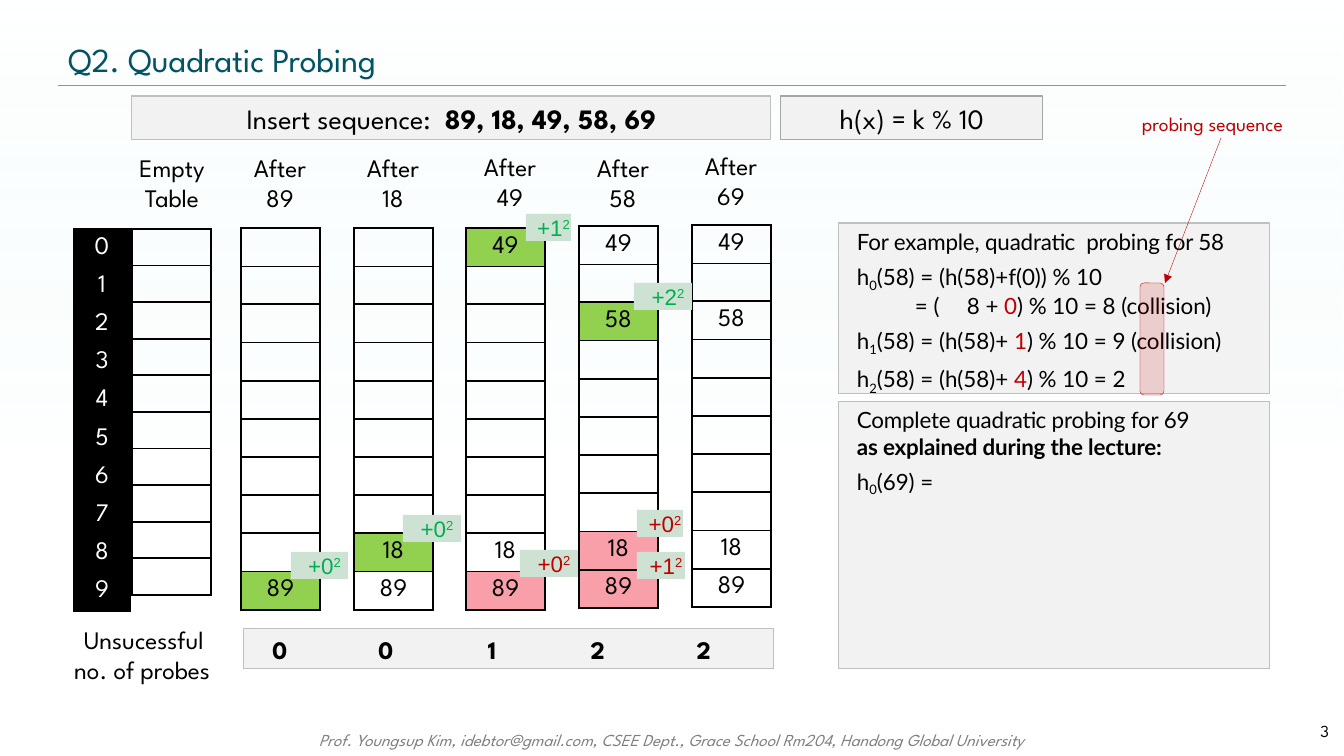
from lxml.etree import SubElement
from pptx import Presentation
from pptx.dml.color import RGBColor
from pptx.enum.shapes import MSO_CONNECTOR as Connector, MSO_SHAPE as Shape
from pptx.enum.text import MSO_ANCHOR as Anchor, PP_ALIGN as Align
from pptx.oxml.ns import qn
from pptx.util import Emu, Pt

# Content: lengths in px
WIDTH, HEIGHT, EMU_PER_PX = 1344, 756, 914400 / 100.8
HEADING, BODY, BADGE = "League Spartan", "Lato", "Arial"
COLORS = {
    "black": "000000", "white": "FFFFFF", "sky": "D9F3F4", "title": "005466",
    "rule": "4FADD1", "panel": "F2F2F2", "edge": "BFBFBF", "dark_edge": "A6A6A6",
    "gray": "808080", "red": "C00000", "green": "00B050", "badge": "CEE2D3",
    "inserted": "92D050", "collision": "F99FAA",
}
FOOTER = "Prof. Youngsup Kim, idebtor@gmail.com, CSEE Dept., Grace School Rm204, Handong Global University"
ROWS = 10
# Left, top, width, height, then row: (text, fill)
HASH_TABLES = [
    (132, 229, 79, 366, {}),
    (241, 228, 79, 382, {9: ("89", "inserted")}),
    (354, 228, 79, 382, {8: ("18", "inserted"), 9: ("89", None)}),
    (466, 228, 79, 382, {0: ("49", "inserted"), 8: ("18", None), 9: ("89", "collision")}),
    (579, 226, 79, 382, {0: ("49", None), 2: ("58", "inserted"),
                         8: ("18", "collision"), 9: ("89", "collision")}),
    (692, 225, 79, 382, {0: ("49", None), 2: ("58", None), 8: ("18", None), 9: ("89", None)}),
]
INDEX_TABLE = (74, 229, 56, 382, {row: (str(row), "black") for row in range(ROWS)})
TABLE_LABELS = [
    (123, 147, 98, ("Empty", "Table")), (240, 147, 80, ("After", "89")),
    (353, 147, 80, ("After", "18")), (470, 146, 80, ("After", "49")),
    (583, 147, 80, ("After", "58")), (691, 145, 80, ("After", "69")),
]
# Left, top, width, base of the square, colour
PROBE_BADGES = [
    (291, 552, 57, "0", "green"), (403, 515, 58, "0", "green"),
    (526, 214, 45, "1", "green"), (634, 283, 58, "2", "green"),
    (520, 550, 58, "0", "red"), (637, 510, 46, "0", "red"), (637, 552, 48, "1", "red"),
]
PROBE_COUNTS = ["0", "0", "1", "2", "2"]
FIRST_COUNT, COUNT_STEP = 26, 106
RED, SUBSCRIPT, TIGHT = {"color": "red"}, {"baseline": -21}, {"spacing": -10}
# Paragraphs of (text, run format)
EXAMPLE = [
    [("For example, quadratic  probing for 58", TIGHT)],
    [("h", {}), ("0", SUBSCRIPT), ("(58) = (h(58)+f(0)) % 10", {})],
    [("\t= (\t8 + ", {}), ("0", RED), (") % 10 = 8 (collision)", {})],
    [("h", {}), ("1", SUBSCRIPT), ("(58) = (h(58)+", {}), (" 1", RED), (") % 10 = 9 (collision)", {})],
    [("h", {}), ("2", {"baseline": -25}), ("(58) = (h(58)+ ", {}), ("4", RED), (") % 10 = 2", {})],
]
EXERCISE = [
    [("Complete quadratic probing for 69", TIGHT)],
    [("as explained during the lecture:", {"bold": True, "spacing": -10})],
    [("h", {}), ("0", SUBSCRIPT), ("(69) = ", {})],
]


def px(length):
    return Emu(round(length * EMU_PER_PX))


def rgb(name):
    return RGBColor.from_string(COLORS[name])


def add_run(paragraph, text, size, font=HEADING, color="black", bold=False,
            italic=False, baseline=0, spacing=0):
    run = paragraph.add_run()
    run.text = text
    run.font.name, run.font.size = font, Pt(size)
    run.font.bold, run.font.italic = bold, italic
    run.font.color.rgb = rgb(color)
    properties = run._r.get_or_add_rPr()
    if baseline:
        properties.set("baseline", str(baseline * 1000))
    if spacing:
        properties.set("spc", str(spacing))


def write(shape, paragraphs, size, align=Align.LEFT, anchor=Anchor.TOP, **style):
    frame = shape.text_frame
    frame.word_wrap, frame.vertical_anchor = True, anchor
    for number, runs in enumerate(paragraphs):
        paragraph = frame.add_paragraph() if number else frame.paragraphs[0]
        paragraph.alignment = align
        for text, run_style in runs:
            add_run(paragraph, text, size, **{**style, **run_style})
    return frame.paragraphs


def add_text(box, lines, size, **style):
    shape = slide.shapes.add_textbox(*map(px, box))
    write(shape, [[(line, {})] for line in lines], size, **style)


def add_box(box, fill="panel", edge="edge", width=0.75, preset=Shape.RECTANGLE):
    shape = slide.shapes.add_shape(preset, *map(px, box))
    shape.shadow.inherit = False
    if fill:
        shape.fill.solid()
        shape.fill.fore_color.rgb = rgb(fill)
    if edge:
        shape.line.color.rgb, shape.line.width = rgb(edge), Pt(width)
    else:
        shape.line.fill.background()
    return shape


def add_line(start, end, color):
    line = slide.shapes.add_connector(Connector.STRAIGHT, *map(px, start + end))
    line.line.color.rgb, line.line.width = rgb(color), Pt(0.25)
    SubElement(line._element.spPr, qn("a:effectLst"))
    return line


def set_alpha(color_element, percent):
    SubElement(color_element, qn("a:alpha"), val=str(percent * 1000))


def set_tabs(paragraph, positions, align):
    tabs = SubElement(paragraph._p.get_or_add_pPr(), qn("a:tabLst"))
    for position in positions:
        SubElement(tabs, qn("a:tab"), pos=str(px(position)), algn=align)


def set_borders(cell, row):
    thin = {"T": row in (1, 6), "B": row in (0, 5)}
    for side in "LRTB":
        width = Pt(1) if thin.get(side) else Pt(1.5)
        border = SubElement(cell._tc.get_or_add_tcPr(), qn("a:ln" + side), w=str(width))
        SubElement(SubElement(border, qn("a:solidFill")), qn("a:srgbClr"), val=COLORS["black"])


def add_hash_table(left, top, width, height, entries, color="black"):
    table = slide.shapes.add_table(ROWS, 1, px(left), px(top), px(width), px(height)).table
    table.first_row = table.horz_banding = False
    for row in range(ROWS):
        table.rows[row].height = px(height / ROWS)
        cell = table.cell(row, 0)
        cell.margin_left = cell.margin_right = 0
        cell.margin_top = cell.margin_bottom = px(2)
        cell.vertical_anchor = Anchor.MIDDLE
        set_borders(cell, row)
        text, fill = entries.get(row, ("", None))
        if fill:
            cell.fill.solid()
            cell.fill.fore_color.rgb = rgb(fill)
        else:
            cell.fill.background()
        if text:
            paragraph = cell.text_frame.paragraphs[0]
            paragraph.alignment = Align.CENTER
            add_run(paragraph, text, 18, color=color)


presentation = Presentation()
presentation.slide_width, presentation.slide_height = px(WIDTH), px(HEIGHT)
slide = presentation.slides.add_slide(presentation.slide_layouts[5])

# Faint background gradient
backdrop = add_box((0, 0, WIDTH, HEIGHT), fill=None, edge=None)
backdrop.fill.gradient()
backdrop.fill.gradient_angle = 270
for stop, color, position in zip(backdrop.fill.gradient_stops, ("sky", "white"), (0, 0.61)):
    stop.color.rgb, stop.position = rgb(color), position
for color_element, percent in zip(backdrop._element.spPr.iter(qn("a:srgbClr")), (0, 40)):
    set_alpha(color_element, percent)
slide.shapes._spTree.insert(2, backdrop._element)

# Title, rule, footer and page number
title = slide.shapes.title
title.left, title.top, title.width, title.height = map(px, (58, 34, 1228, 50))
write(title, [[("Q2. Quadratic Probing", TIGHT)]], 24, anchor=Anchor.MIDDLE, color="title")
add_line((58, 85), (1286, 85), "rule")
add_text((200, 725, 944, 30), [FOOTER], 12, align=Align.CENTER, color="gray", italic=True)
add_text((1221, 711, 118, 40), ["3"], 12, align=Align.RIGHT, anchor=Anchor.MIDDLE)

# Hash tables with their labels
for hash_table in HASH_TABLES:
    add_hash_table(*hash_table)
add_hash_table(*INDEX_TABLE, color="white")
for left, top, width, lines in TABLE_LABELS:
    add_text((left, top, width, 72), lines, 18, align=Align.CENTER)

# Insert sequence and hash function
CENTERED = {"align": Align.CENTER, "anchor": Anchor.MIDDLE}
sequence = [("Insert sequence:  ", {}), ("89, 18, 49, 58, 69", {"bold": True})]
write(add_box((132, 96, 639, 44)), [sequence], 20, **CENTERED)
write(add_box((781, 96, 262, 44), edge="dark_edge"), [[("h(x) = k % 10", {})]], 20, **CENTERED)

# Probe badges
for left, top, width, base, color in PROBE_BADGES:
    badge = add_box((left, top, width, 27), fill="badge", edge=None)
    frame = badge.text_frame
    frame.margin_left = px(10)
    frame.margin_right = frame.margin_top = frame.margin_bottom = 0
    write(badge, [[("+" + base, {}), ("2", {"baseline": 30})]], 16, font=BADGE,
          color=color, spacing=-10, **CENTERED)

# Explanation panels: paragraph 2 of the example and 1 of the exercise continue a line
for box, content, continuation in (((839, 223, 431, 171), EXAMPLE, 2),
                                   ((839, 401, 431, 268), EXERCISE, 1)):
    for number, paragraph in enumerate(write(add_box(box), content, 16, font=BODY)):
        if number:
            paragraph.space_before = Pt(0 if number == continuation else 5.8)
        if content[number][0][0].startswith("\t"):
            set_tabs(paragraph, (66, 118), "l")
        else:
            paragraph._p.get_or_add_pPr().set("marL", str(px(8)))

# Probing sequence marker
marker = add_box((1140, 283, 24, 112), "red", "red", 0.25, Shape.ROUNDED_RECTANGLE)
set_alpha(next(marker._element.spPr.iter(qn("a:srgbClr"))), 15)
arrow = add_line((1221, 138), (1165, 283), "red")
SubElement(arrow.line._get_or_add_ln(), qn("a:tailEnd"), type="triangle")
add_text((1132, 107, 198, 34), ["probing sequence"], 14, color="red")

# Unsuccessful probe counts
counts = write(add_box((244, 629, 530, 40)), [[("\t" + "\t".join(PROBE_COUNTS), {"bold": True})]],
               18, anchor=Anchor.MIDDLE)
set_tabs(counts[0], [FIRST_COUNT + COUNT_STEP * i for i in range(len(PROBE_COUNTS))], "ctr")
add_text((37, 619, 183, 72), ["Unsucessful ", "no. of probes"], 18, align=Align.RIGHT)

presentation.save("out.pptx")
